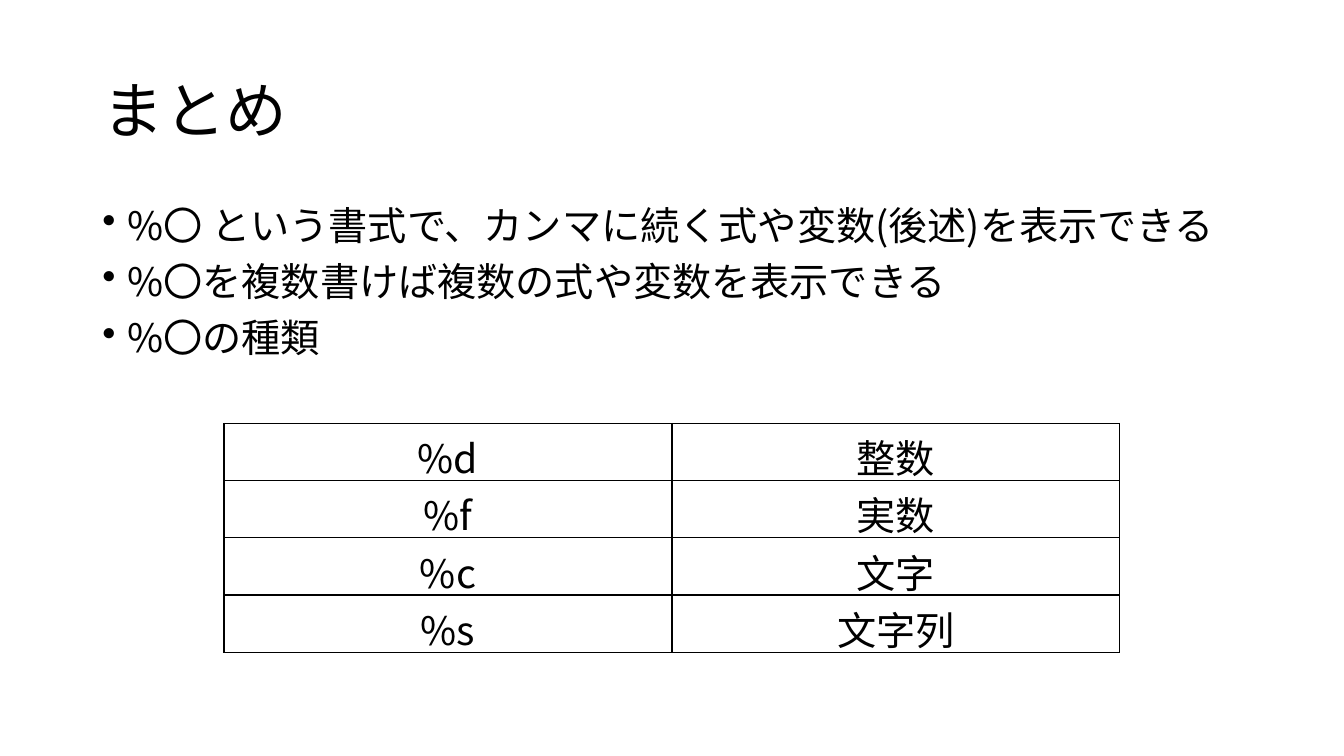
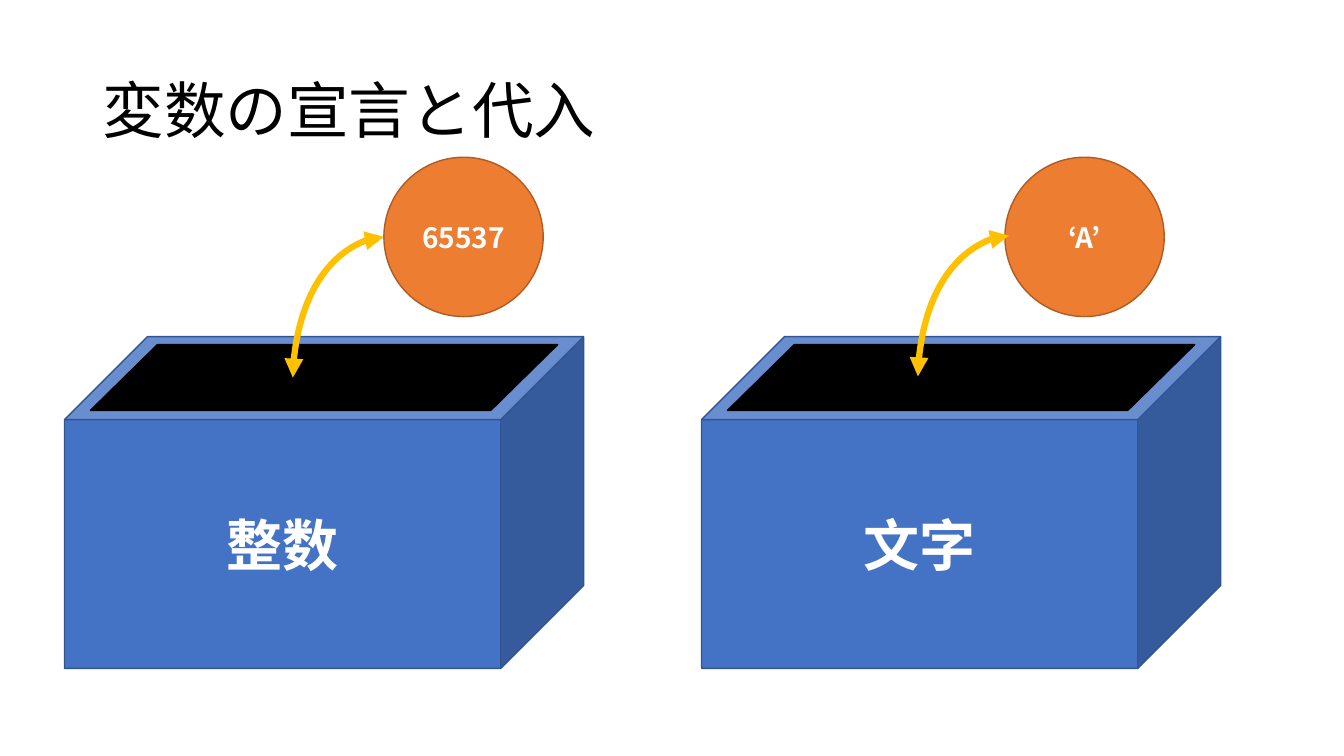
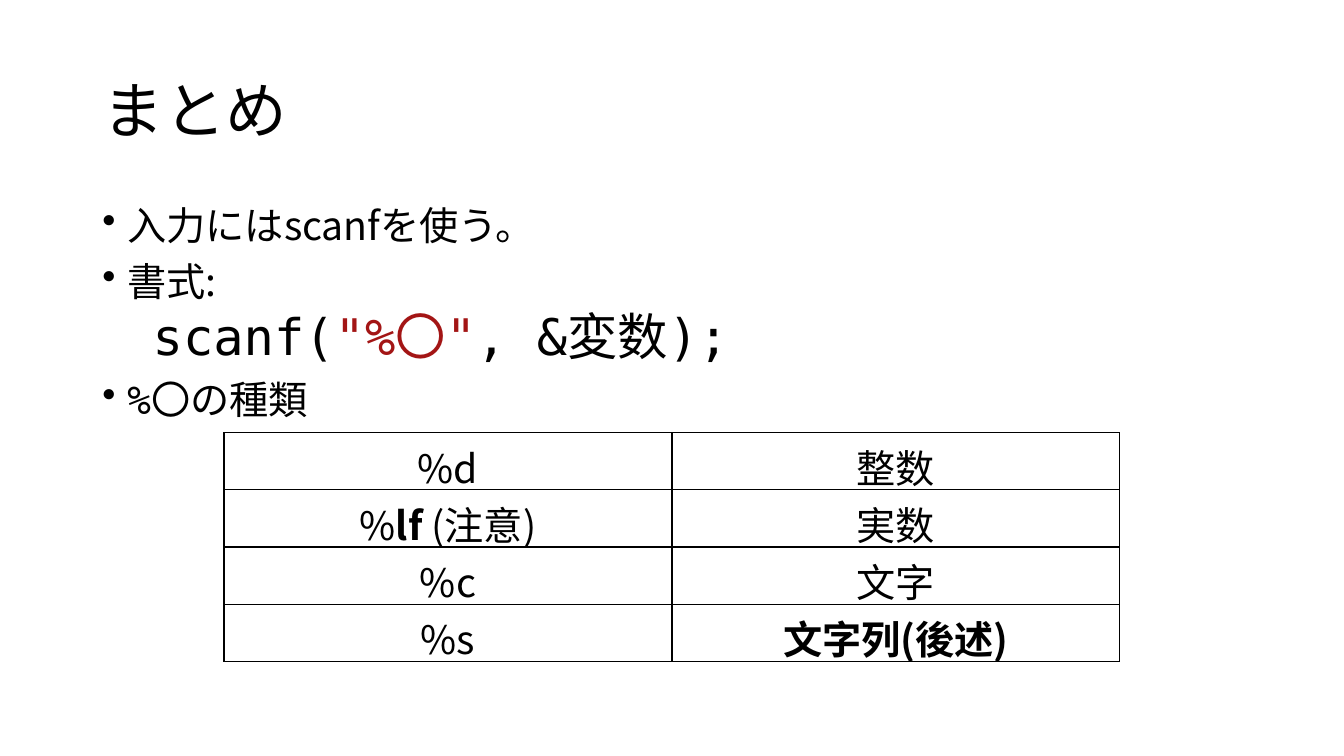
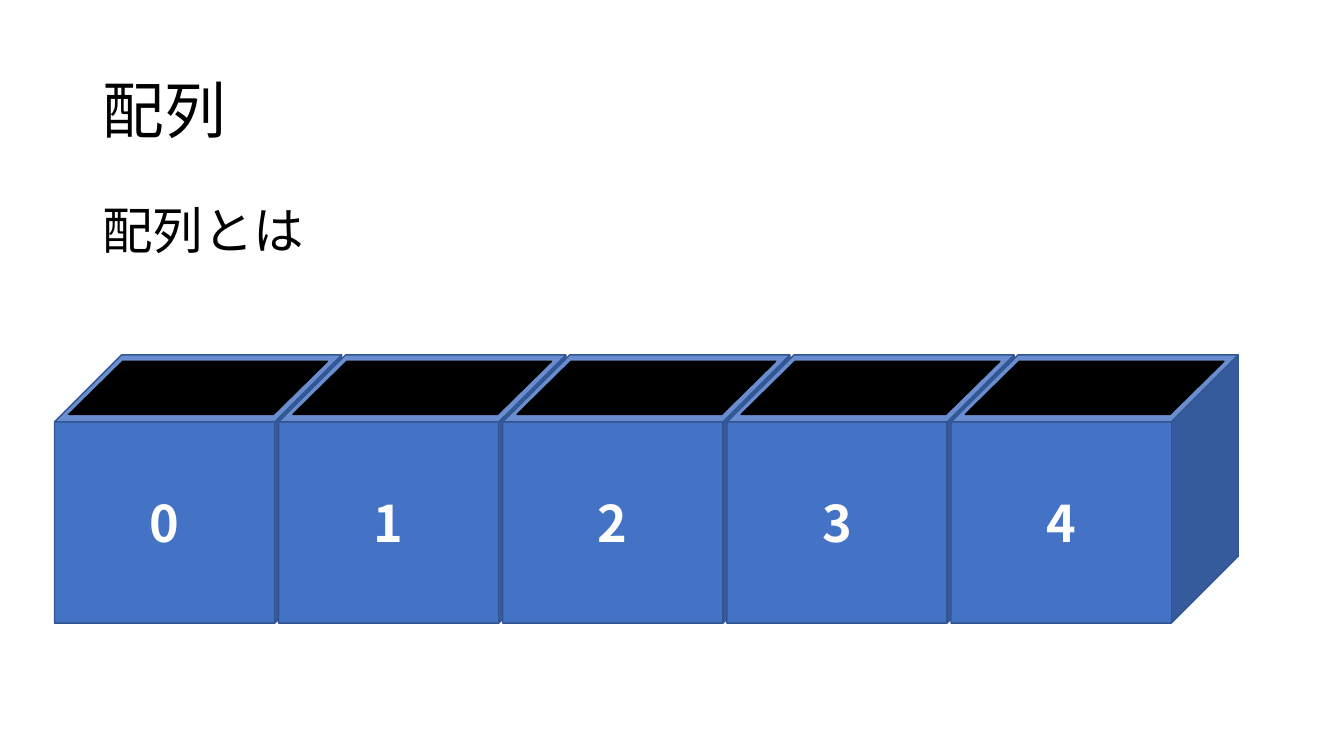
"""Build four slides of a C lesson: output formats, variables, input formats and arrays."""
from dataclasses import dataclass

from lxml.etree import SubElement
from pptx import Presentation
from pptx.dml.color import RGBColor
from pptx.enum.shapes import MSO_CONNECTOR as CONNECTOR, MSO_SHAPE as SHAPE
from pptx.enum.text import MSO_ANCHOR as ANCHOR, MSO_AUTO_SIZE as AUTO_SIZE, PP_ALIGN as ALIGN
from pptx.oxml.ns import qn
from pptx.util import Pt


@dataclass(frozen=True)
class Theme:
    font: str = "Noto Sans CJK JP"
    code_font: str = "DejaVu Sans Mono"
    ink: str = "000000"
    paper: str = "FFFFFF"
    box: str = "4472C4"
    box_edge: str = "325491"
    value: str = "ED7D31"
    value_edge: str = "AF5C24"
    arrow: str = "FFC000"
    literal: str = "A31515"
    title: int = 44
    label: int = 40
    large: int = 36
    body: int = 28
    small: int = 20


THEME = Theme()
MARGIN, CONTENT_WIDTH = 66, 828


@dataclass(frozen=True)
class Span:
    text: str
    size: int = THEME.body
    color: str = THEME.ink
    bold: bool = False
    font: str = THEME.font


@dataclass(frozen=True)
class Line:
    spans: tuple
    bullet: bool = True
    indent: int = 18
    before: int = 10


def rgb(color):
    return RGBColor.from_string(color)


def write(paragraph, *spans):
    for span in spans:
        run = paragraph.add_run()
        run.text = span.text
        run.font.name = span.font
        run.font.size = Pt(span.size)
        run.font.bold = span.bold
        run.font.color.rgb = rgb(span.color)
        SubElement(run.font._element, qn("a:ea")).set("typeface", THEME.font)


def add_titled_slide(deck, text):
    slide = deck.slides.add_slide(deck.slide_layouts[5])
    title = slide.shapes.title
    title.left, title.top = Pt(MARGIN), Pt(28.8)
    title.width, title.height = Pt(CONTENT_WIDTH), Pt(104.4)
    frame = title.text_frame
    frame.auto_size = AUTO_SIZE.NONE
    frame.vertical_anchor = ANCHOR.MIDDLE
    paragraph = frame.paragraphs[0]
    paragraph.alignment = ALIGN.LEFT
    paragraph.line_spacing = 0.9
    write(paragraph, Span(text, THEME.title))
    return slide


def add_body(slide, lines):
    body = slide.shapes.add_textbox(Pt(MARGIN), Pt(143.75), Pt(CONTENT_WIDTH), Pt(342.6))
    frame = body.text_frame
    frame.word_wrap = True
    for index, line in enumerate(lines):
        paragraph = frame.add_paragraph() if index else frame.paragraphs[0]
        properties = paragraph._p.get_or_add_pPr()
        properties.set("marL", str(Pt(line.indent)))
        properties.set("indent", str(Pt(-line.indent if line.bullet else 0)))
        if line.bullet:
            SubElement(properties, qn("a:buChar")).set("char", "•")
        paragraph.line_spacing = 0.9
        if index:
            paragraph.space_before = Pt(line.before)
        write(paragraph, *line.spans)


def add_borders(cell):
    properties = cell._tc.get_or_add_tcPr()
    for side in ("lnL", "lnR", "lnT", "lnB"):
        border = SubElement(properties, qn(f"a:{side}"), w=str(Pt(1)))
        fill = SubElement(border, qn("a:solidFill"))
        SubElement(fill, qn("a:srgbClr"), val=THEME.ink)


def add_format_table(slide, top, rows):
    table = slide.shapes.add_table(len(rows), 2, Pt(160), Pt(top), Pt(640), Pt(163.4)).table
    table.first_row = table.horz_banding = False
    for row, contents in zip(table.rows, rows):
        for cell, spans in zip(row.cells, contents):
            add_borders(cell)
            cell.fill.background()
            paragraph = cell.text_frame.paragraphs[0]
            paragraph.alignment = ALIGN.CENTER
            write(paragraph, *spans)


def add_solid(shapes, kind, left, top, width, height, fill, edge):
    solid = shapes.add_shape(kind, Pt(left), Pt(top), Pt(width), Pt(height))
    solid.shadow.inherit = False
    solid.fill.solid()
    solid.fill.fore_color.rgb = rgb(fill)
    solid.line.color.rgb = rgb(edge)
    solid.line.width = Pt(1)
    return solid


def add_label(solid, text, size):
    solid.text_frame.vertical_anchor = ANCHOR.MIDDLE
    paragraph = solid.text_frame.paragraphs[0]
    paragraph.alignment = ALIGN.CENTER
    write(paragraph, Span(text, size, THEME.paper, True))


def add_open_box(slide, left, top, width, height, text, size):
    shapes = slide.shapes.add_group_shape().shapes
    box = add_solid(shapes, SHAPE.CUBE, left, top, width, height, THEME.box, THEME.box_edge)
    add_label(box, text, size)
    mouth = add_solid(shapes, SHAPE.PARALLELOGRAM, left + 0.05 * width, top + 0.024 * height,
                      0.9 * width, 0.198 * height, THEME.ink, THEME.ink)
    mouth.adjustments[0] = 1.017


def add_value(slide, left, text):
    value = add_solid(slide.shapes, SHAPE.OVAL, left, 112.3, 113.8, 113.8,
                      THEME.value, THEME.value_edge)
    add_label(value, text, THEME.small)


def add_curved_arrow(slide, x, y):
    arrow = slide.shapes.add_connector(CONNECTOR.CURVE, Pt(x), Pt(y), Pt(x - 65), Pt(y + 100.5))
    arrow.line.color.rgb = rgb(THEME.arrow)
    arrow.line.width = Pt(4.5)
    properties = arrow._element.spPr
    properties.find(qn("a:prstGeom")).set("prst", "curvedConnector2")
    for end in ("headEnd", "tailEnd"):
        SubElement(arrow.line._get_or_add_ln(), qn(f"a:{end}"), type="triangle")
    SubElement(properties, qn("a:effectLst"))


def plain_rows(*rows):
    return [[(Span(text),) for text in row] for row in rows]


def build_output_summary(deck):
    slide = add_titled_slide(deck, "まとめ")
    texts = ("%〇 という書式で、カンマに続く式や変数(後述)を表示できる",
             "%〇を複数書けば複数の式や変数を表示できる",
             "%〇の種類")
    add_body(slide, [Line((Span(text),)) for text in texts])
    add_format_table(slide, 302.4, plain_rows(
        ("%d", "整数"), ("%f", "実数"), ("%c", "文字"), ("%s", "文字列")))


def build_variables(deck):
    slide = add_titled_slide(deck, "変数の宣言と代入")
    for left, kind in ((46.1, "整数"), (501.1, "文字")):
        add_open_box(slide, left, 240.5, 370.8, 236.9, kind, THEME.label)
    for left, value in ((274.2, "65537"), (717.8, "‘A’")):
        add_value(slide, left, value)
    for x, y in ((274.2, 169.2), (720.7, 168.3)):
        add_curved_arrow(slide, x, y)


def build_input_summary(deck):
    slide = add_titled_slide(deck, "まとめ")
    code = [Span(text, THEME.large, color, font=THEME.code_font) for text, color in (
        ("scanf(", THEME.ink), ('"%〇"', THEME.literal), (", &変数);", THEME.ink))]
    add_body(slide, [
        Line((Span("入力にはscanfを使う。"),)),
        Line((Span("書式:"),)),
        Line(tuple(code), bullet=False, indent=36, before=5),
        Line((Span("%〇の種類", font=THEME.code_font),)),
    ])
    rows = plain_rows(("%d", "整数"), ("%", "実数"), ("%c", "文字"), ("%s", ""))
    rows[1][0] += (Span("lf ", bold=True), Span("(注意)"))
    rows[3][1] = (Span("文字列(後述)", bold=True),)
    add_format_table(slide, 309, rows)


def build_array(deck):
    slide = add_titled_slide(deck, "配列")
    add_body(slide, [Line((Span("配列とは", THEME.large),), bullet=False, indent=0)])
    for index in range(5):
        add_open_box(slide, 38.9 + 160.1 * index, 253.5, 205.2, 191.6, str(index), THEME.large)


def main():
    deck = Presentation()
    deck.slide_width, deck.slide_height = Pt(960), Pt(540)
    build_output_summary(deck)
    build_variables(deck)
    build_input_summary(deck)
    build_array(deck)
    deck.save("out.pptx")


if __name__ == "__main__":
    main()
